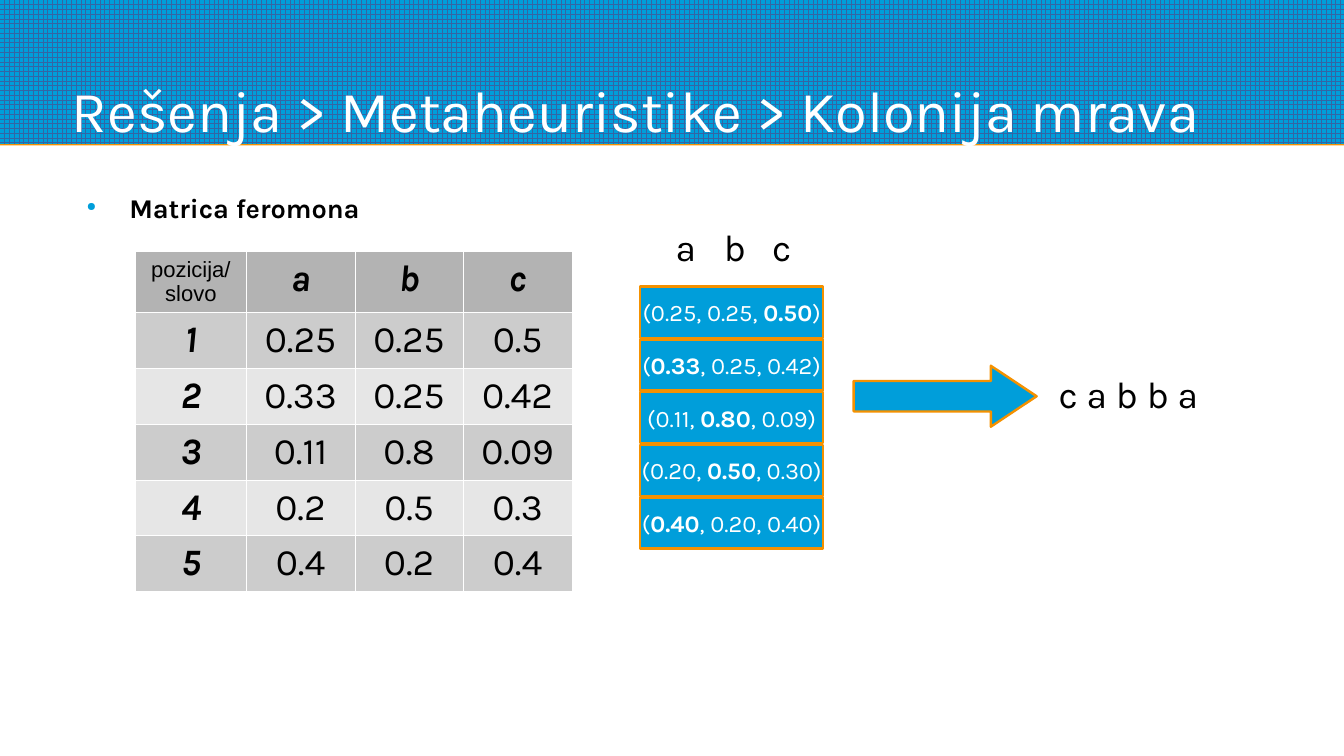
from lxml import etree
from pptx import Presentation
from pptx.dml.color import RGBColor
from pptx.enum.dml import MSO_PATTERN
from pptx.enum.shapes import MSO_SHAPE
from pptx.enum.text import MSO_ANCHOR, MSO_AUTO_SIZE, PP_ALIGN
from pptx.oxml import parse_xml
from pptx.util import Inches, Pt

RECTANGLE, RIGHT_ARROW = MSO_SHAPE.RECTANGLE, MSO_SHAPE.RIGHT_ARROW
TOP, MIDDLE, BOTTOM = MSO_ANCHOR.TOP, MSO_ANCHOR.MIDDLE, MSO_ANCHOR.BOTTOM
LEFT, CENTER = PP_ALIGN.LEFT, PP_ALIGN.CENTER
LARGE_GRID = MSO_PATTERN.LARGE_GRID
NO_AUTOFIT = MSO_AUTO_SIZE.NONE

COLORS = {"blue": "009EDA", "grid": "3465A4", "orange": "F49100",
          "white": "FFFFFF", "black": "000000",
          "header": "B3B3B3", "odd": "CCCCCC", "even": "E6E6E6"}
NAMESPACE = "http://schemas.openxmlformats.org/drawingml/2006/main"
WIDTH, HEIGHT = 11.02, 6.2
MARGIN, CONTENT_WIDTH = 0.59, 9.84
BAND_HEIGHT = 1.18
INSET = 0.04


def write(frame, runs, size, color="black", align=LEFT, anchor=TOP, inset=0,
          wrap=True, font="Karla", italic=False):
    """Fill a text frame with one paragraph of (text, bold) runs."""
    layout = {"word_wrap": wrap, "auto_size": NO_AUTOFIT, "vertical_anchor": anchor}
    for side in ("left", "right", "top", "bottom"):
        layout[f"margin_{side}"] = Inches(inset)
    for name, value in layout.items():
        setattr(frame, name, value)
    paragraph = frame.paragraphs[0]
    paragraph.alignment = align
    for text, bold in runs:
        run = paragraph.add_run()
        run.text = text
        style = {"size": Pt(size), "name": font, "bold": bold, "italic": italic}
        for name, value in style.items():
            setattr(run.font, name, value)
        run.font.color.rgb = RGBColor.from_string(COLORS[color])
    return paragraph


def add_blue_shape(kind, *box):
    shape = slide.shapes.add_shape(kind, *map(Inches, box))
    shape.shadow.inherit = False
    shape.fill.solid()
    shape.fill.fore_color.rgb = RGBColor.from_string(COLORS["blue"])
    shape.line.color.rgb = RGBColor.from_string(COLORS["orange"])
    shape.line.width = Pt(1.42)
    return shape


presentation = Presentation()
presentation.slide_width, presentation.slide_height = Inches(WIDTH), Inches(HEIGHT)
slide = presentation.slides.add_slide(presentation.slide_layouts[5])

# Title over the gridded band
title = slide.shapes.title
title_box = {"left": MARGIN, "top": 0.1, "width": CONTENT_WIDTH, "height": BAND_HEIGHT - 0.1}
for name, value in title_box.items():
    setattr(title, name, Inches(value))
write(title.text_frame, [("Rešenja > Metaheuristike > Kolonija mrava", False)],
      34.2, "white", anchor=BOTTOM)

band = add_blue_shape(RECTANGLE, 0, 0, WIDTH, BAND_HEIGHT)
band.line.fill.background()
band.fill.patterned()
band.fill.pattern = LARGE_GRID
band.fill.fore_color.rgb = RGBColor.from_string(COLORS["grid"])
band.fill.back_color.rgb = RGBColor.from_string(COLORS["blue"])
effects = band.element.spPr.find(f"{{{NAMESPACE}}}effectLst")
effects.append(parse_xml(
    f'<a:outerShdw xmlns:a="{NAMESPACE}" blurRad="0" dist="{Pt(0.9)}" dir="5400000" '
    f'rotWithShape="0"><a:srgbClr val="{COLORS["orange"]}"/></a:outerShdw>'))
title.element.addprevious(band.element)

# Bulleted heading
heading = slide.shapes.add_textbox(*map(Inches, (MARGIN, 1.57, CONTENT_WIDTH, 0.43)))
paragraph = write(heading.text_frame, [("Matrica feromona", True)], 16)
paragraph.space_after = Pt(10.5)
properties = paragraph._p.get_or_add_pPr()
properties.set("marL", str(Inches(0.47)))
properties.set("indent", str(Inches(-0.35)))
bullet_color = etree.SubElement(properties, f"{{{NAMESPACE}}}buClr")
etree.SubElement(bullet_color, f"{{{NAMESPACE}}}srgbClr", val=COLORS["blue"])
etree.SubElement(properties, f"{{{NAMESPACE}}}buSzPct", val="45000")
etree.SubElement(properties, f"{{{NAMESPACE}}}buChar", char="●")

# Pheromone matrix
matrix = [["pozicija/slovo", "a", "b", "c"],
          ["1", "0.25", "0.25", "0.5"],
          ["2", "0.33", "0.25", "0.42"],
          ["3", "0.11", "0.8", "0.09"],
          ["4", "0.2", "0.5", "0.3"],
          ["5", "0.4", "0.2", "0.4"]]
column_widths = [0.91] + [0.89] * 3
row_heights = [0.5] + [0.457] * 5
table = slide.shapes.add_table(
    len(matrix), len(matrix[0]), Inches(1.11), Inches(2.06),
    Inches(sum(column_widths)), Inches(sum(row_heights))).table
table.first_row = table.horz_banding = False
for column, width in zip(table.columns, column_widths):
    column.width = Inches(width)
for row, height in zip(table.rows, row_heights):
    row.height = Inches(height)
for row_index, values in enumerate(matrix):
    shade = "header" if row_index == 0 else ("even", "odd")[row_index % 2]
    for column_index, text in enumerate(values):
        cell = table.cell(row_index, column_index)
        corner = row_index == column_index == 0
        label = not corner and 0 in (row_index, column_index)
        write(cell.text_frame, [(text, label)], 13 if corner else 22, align=CENTER,
              font="Arial" if corner else "Karla", italic=label)
        cell.margin_left = cell.margin_right = Inches(0.1)
        cell.margin_top = cell.margin_bottom = Inches(0.05)
        cell.fill.solid()
        cell.fill.fore_color.rgb = RGBColor.from_string(COLORS[shade])
        for position, side in enumerate("LRTB"):
            cell._tc.tcPr.insert(position, parse_xml(
                f'<a:ln{side} xmlns:a="{NAMESPACE}" w="{Pt(0.06)}"><a:solidFill>'
                f'<a:srgbClr val="{COLORS["white"]}"/></a:solidFill></a:ln{side}>'))

# Probability stack, with the chosen letter of each row in bold
choices = [("(0.25, 0.25, ", "0.50", ")"),
           ("(", "0.33", ", 0.25, 0.42)"),
           ("(0.11, ", "0.80", ", 0.09)"),
           ("(0.20, ", "0.50", ", 0.30)"),
           ("(", "0.40", ", 0.20, 0.40)")]
STACK_LEFT, STACK_TOP, STACK_PITCH = 5.25, 2.35, 0.4325
for index, (before, chosen, after) in enumerate(choices):
    box = add_blue_shape(RECTANGLE, STACK_LEFT, STACK_TOP + index * STACK_PITCH, 1.5, 0.42)
    write(box.text_frame, [(before, False), (chosen, True), (after, False)], 14,
          "white", CENTER, MIDDLE, INSET, wrap=False)

# Letters above the stack, arrow and resulting word
labels = [(letter, 5.5 + index * 0.395, 1.77, 0.25) for index, letter in enumerate("abc")]
labels.append(("c a b b a", 8.64, 2.98, 1.61))
for text, left, top, width in labels:
    box = slide.shapes.add_textbox(*map(Inches, (left, top, width, 0.5)))
    write(box.text_frame, [(text, False)], 22, anchor=MIDDLE, inset=INSET)

arrow = add_blue_shape(RIGHT_ARROW, 7, 3, 1.5, 0.5)
arrow.adjustments[0], arrow.adjustments[1] = 0.5, 0.75

presentation.save("out.pptx")
